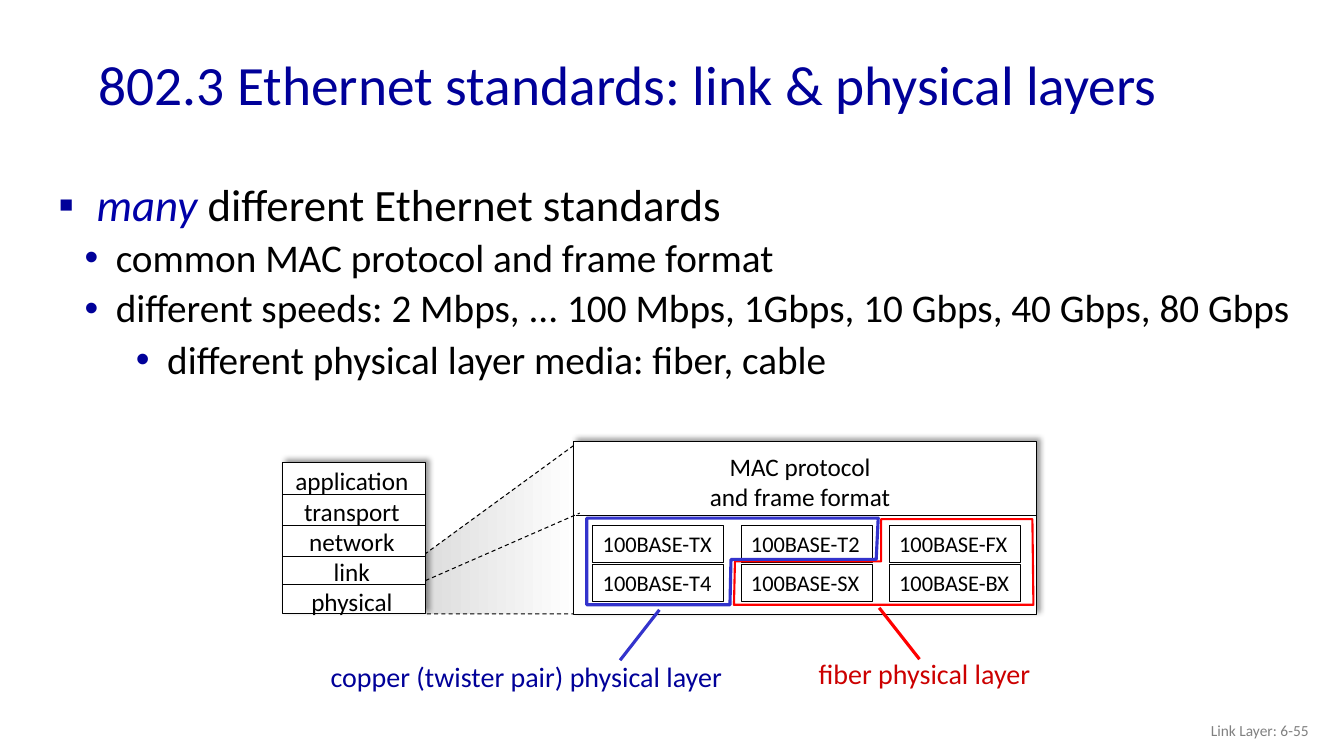
from lxml.etree import SubElement
from pptx import Presentation
from pptx.dml.color import RGBColor
from pptx.enum.dml import MSO_LINE
from pptx.enum.shapes import MSO_CONNECTOR, MSO_SHAPE
from pptx.enum.text import MSO_ANCHOR, PP_ALIGN
from pptx.oxml.ns import qn
from pptx.util import Emu, Pt

PX = 9144  # 100 px to the inch
FONT = "Calibri"
BLACK = RGBColor(0, 0, 0)
WHITE = RGBColor(255, 255, 255)
GREY = RGBColor(0x80, 0x80, 0x80)
SILVER = RGBColor(0xDD, 0xDD, 0xDD)
NAVY = RGBColor(0, 0, 0x99)
INDIGO = RGBColor(0, 0, 0xA8)
BLUE = RGBColor(0x33, 0x33, 0xCC)
RED = RGBColor(255, 0, 0)
CRIMSON = RGBColor(0xCC, 0, 0)

# Paragraphs are lists of (text, format) runs
TITLE = "802.3 Ethernet standards: link & physical layers"
FOOTER = "Link Layer: 6-55"
MANY = [("many ", {"italic": True, "color": INDIGO}), ("different Ethernet standards", {})]
POINTS = [
    "common MAC protocol and frame format",
    "different speeds: 2 Mbps, ... 100 Mbps, 1Gbps, 10 Gbps, 40 Gbps, 80 Gbps",
]
MEDIA = "different physical layer media: fiber, cable"
LAYERS = ["application", "transport", "network", "link", "physical"]
FRAME = ["MAC protocol", "and frame format"]
CHIPS = [
    ["100BASE-TX", "100BASE-T2", "100BASE-FX"],
    ["100BASE-T4", "100BASE-SX", "100BASE-BX"],
]

STACK = (280, 459, 142, 150)
PANEL = (569, 438, 459, 172)
RULES = [491, 521, 552, 580]
CONE = [(569, 442), (421, 550), (422, 609), (573, 609)]
# outline, colour, width, pointer, label, label box, label colour
MEDIUMS = [
    ([(874, 515), (874, 557), (729, 557), (728, 600), (1025, 600), (1024, 515)],
     RED, 1.5, (872, 603, 912, 654),
     "fiber physical layer", (802, 646, 232, 44), CRIMSON),
    ([(871, 514), (869, 555), (725, 555), (724, 600), (582, 600), (582, 514)],
     BLUE, 2.25, (654, 605, 615, 655),
     "copper (twister pair) physical layer", (318, 649, 426, 44), NAVY),
]

deck = Presentation()
deck.slide_width, deck.slide_height = Emu(1333 * PX), Emu(750 * PX)
slide = deck.slides.add_slide(deck.slide_layouts[6])
shapes = slide.shapes


def emu(nums):
    return [Emu(n * PX) for n in nums]


def put(item, **values):
    """Set each named attribute of item."""
    for name, value in values.items():
        setattr(item, name, value)


def write(shape, lines, size, color=BLACK, wrap=False, anchor=MSO_ANCHOR.TOP, **para):
    """Fill a shape with paragraphs, each a string or a list of runs."""
    frame = shape.text_frame
    put(frame, word_wrap=wrap, vertical_anchor=anchor)
    for i, line in enumerate(lines):
        p = frame.add_paragraph() if i else frame.paragraphs[0]
        put(p, **{"alignment": PP_ALIGN.LEFT, **para})
        for words, style in [(line, {})] if isinstance(line, str) else line:
            run = p.add_run()
            run.text = words
            put(run.font, name=FONT, size=Pt(size), italic=style.get("italic", False))
            run.font.color.rgb = style.get("color", color)
    return frame


def text(box, lines, size, **style):
    return write(shapes.add_textbox(*emu(box)), lines, size, **style)


def bullet(p, size, mark, left, hang):
    put(p, line_spacing=0.9, space_before=Pt(size * 0.2))
    props = p._p.get_or_add_pPr()
    props.set("marL", str(left * PX))
    props.set("indent", str(-hang * PX))
    tint = SubElement(SubElement(props, qn("a:buClr")), qn("a:srgbClr"))
    tint.set("val", str(NAVY))
    SubElement(props, qn("a:buFont")).set("typeface", "Arial")
    SubElement(props, qn("a:buChar")).set("char", mark)


def pen(line, color=BLACK, width=0.75, dash=None):
    line.color.rgb = color
    put(line, width=Pt(width), dash_style=dash)


def stroke(ends, **style):
    link = shapes.add_connector(MSO_CONNECTOR.STRAIGHT, *emu(ends))
    pen(link.line, **style)
    SubElement(link._element.spPr, qn("a:effectLst"))


def rect(box):
    shape = shapes.add_shape(MSO_SHAPE.RECTANGLE, *emu(box))
    shape.shadow.inherit = False
    shape.fill.background()
    pen(shape.line)
    return shape


def card(box):
    """White rectangle with a soft shadow up and to the right."""
    shape = rect(box)
    shape.fill.solid()
    shape.fill.fore_color.rgb = WHITE
    effects = shape._element.spPr.find(qn("a:effectLst"))
    shade = SubElement(effects, qn("a:outerShdw"), blurRad=str(Pt(4)), dist=str(Pt(3)),
                       dir=str(315 * 60000), algn="bl", rotWithShape="0")
    tint = SubElement(shade, qn("a:srgbClr"), val=str(BLACK))
    SubElement(tint, qn("a:alpha"), val="40000")


def outline(points, **style):
    path = shapes.build_freeform(*points[0], scale=PX)
    path.add_line_segments(points[1:], close=True)
    shape = path.convert_to_shape()
    shape.shadow.inherit = False
    shape.fill.background()
    pen(shape.line, **style)
    return shape


# Title, footer and bullets
text((88, 38, 1150, 98), [TITLE], 39.6, color=NAVY, wrap=True,
     anchor=MSO_ANCHOR.MIDDLE, line_spacing=0.9)
text((1008, 705, 300, 40), [FOOTER], 11, color=GREY, wrap=True,
     anchor=MSO_ANCHOR.MIDDLE, alignment=PP_ALIGN.RIGHT)
body = text((48, 176, 1278, 174), [MANY] + POINTS, 28, wrap=True)
head, *rest = body.paragraphs
for run in head.runs:
    run.font.size = Pt(32)
bullet(head, 32, "▪", 38, 38)
media = text((99, 333, 1225, 51), [MEDIA], 28, wrap=True)
for p in rest + list(media.paragraphs):
    bullet(p, 28, "•", 57, 31)

# Protocol stack and the cone that opens from it
cone = outline(CONE, dash=MSO_LINE.DASH)
cone.fill.gradient()
cone.fill.gradient_angle = 0
for stop, color in zip(cone.fill.gradient_stops, (SILVER, WHITE)):
    stop.color.rgb = color
card(STACK)
left, right = STACK[0], STACK[0] + STACK[2]
for y in RULES:
    stroke((left, y, right, y))
for x in (left, right):
    stroke((x, 587, x, 606), dash=MSO_LINE.DASH)
text((282, 457, 134, 162), LAYERS, 18, alignment=PP_ALIGN.CENTER)

# Link and physical layer panel
card(PANEL)
stroke((571, 511, PANEL[0] + PANEL[2], 511))
text((693, 443, 201, 71), FRAME, 18, alignment=PP_ALIGN.CENTER)
stroke((422, 576, 575, 509), dash=MSO_LINE.DASH)
for r, row in enumerate(CHIPS):
    for c, name in enumerate(row):
        write(rect((588 + 147 * c, 521 + 39 * r, 130, 37)), [name], 16)
for points, color, width, ends, label, box, ink in MEDIUMS:
    outline(points, color=color, width=width)
    stroke(ends, color=color, width=2.25)
    text(box, [label], 20, color=ink)

deck.save("out.pptx")
